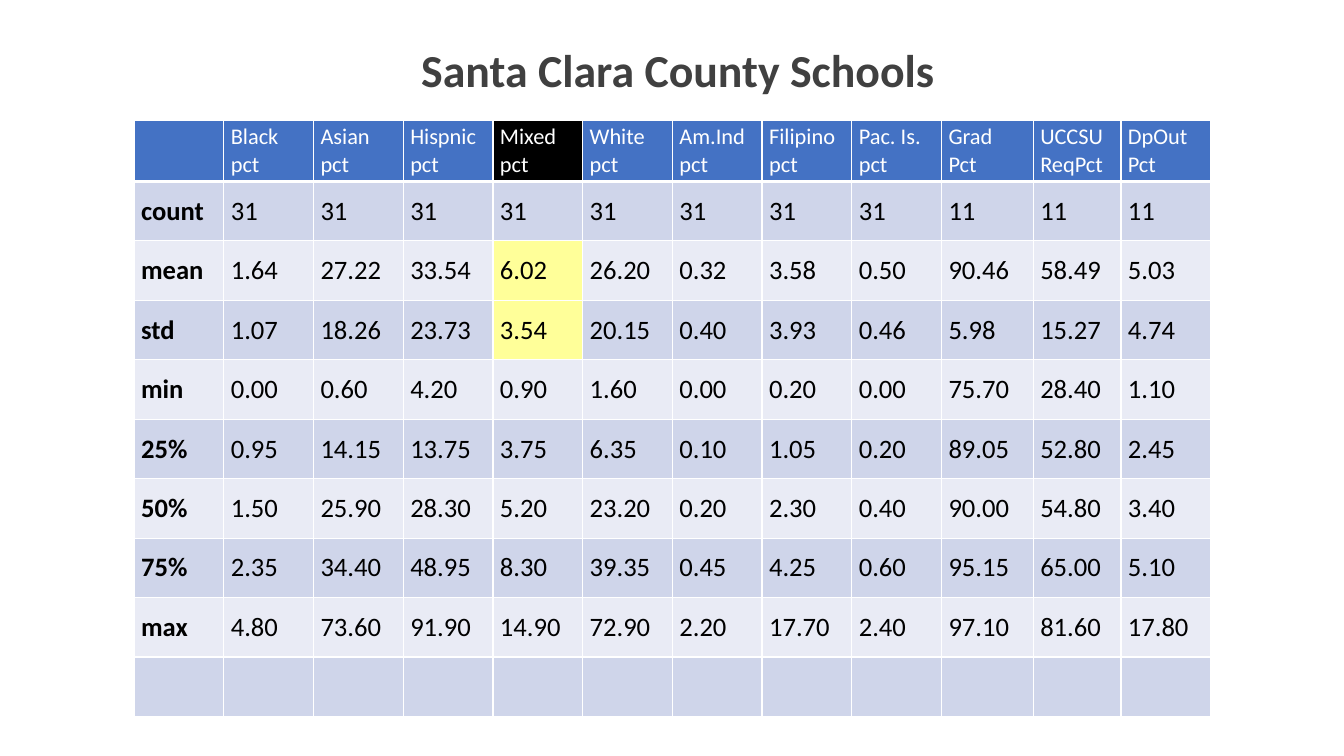
from lxml.etree import SubElement
from pptx import Presentation
from pptx.dml.color import RGBColor
from pptx.enum.text import MSO_ANCHOR, MSO_AUTO_SIZE
from pptx.oxml.ns import qn
from pptx.util import Inches, Pt

TITLE = "Santa Clara County Schools"
HEADERS = [
    "", "Black\npct", "Asian\npct", "Hispnic\npct", "Mixed\npct", "White\npct",
    "Am.Ind\npct", "Filipino\npct", "Pac. Is.\npct", "Grad\nPct",
    "UCCSU\nReqPct", "DpOut\nPct",
]
STATS = [
    "count 31 31 31 31 31 31 31 31 11 11 11",
    "mean 1.64 27.22 33.54 6.02 26.20 0.32 3.58 0.50 90.46 58.49 5.03",
    "std 1.07 18.26 23.73 3.54 20.15 0.40 3.93 0.46 5.98 15.27 4.74",
    "min 0.00 0.60 4.20 0.90 1.60 0.00 0.20 0.00 75.70 28.40 1.10",
    "25% 0.95 14.15 13.75 3.75 6.35 0.10 1.05 0.20 89.05 52.80 2.45",
    "50% 1.50 25.90 28.30 5.20 23.20 0.20 2.30 0.40 90.00 54.80 3.40",
    "75% 2.35 34.40 48.95 8.30 39.35 0.45 4.25 0.60 95.15 65.00 5.10",
    "max 4.80 73.60 91.90 14.90 72.90 2.20 17.70 2.40 97.10 81.60 17.80",
]
COLORS = {
    "title": "404040", "header": "4472C4", "odd": "CFD5EA", "even": "E9EBF5",
    "black": "000000", "mark": "FFFF99", "white": "FFFFFF",
}
MARKED = {(0, 4): "black", (2, 4): "mark", (3, 4): "mark"}
COL_WIDTHS = [0.89] * 9 + [0.91, 0.87, 0.89]
ROW_HEIGHTS = [0.61] + [0.59] * 9
CELL = {
    "margin_left": Inches(0.07), "margin_right": Inches(0.07),
    "margin_top": Inches(0.03), "margin_bottom": Inches(0.03),
    "vertical_anchor": MSO_ANCHOR.MIDDLE,
}


def set_font(font, size, color, bold):
    for name, value in {"name": "Calibri", "size": Pt(size), "bold": bold}.items():
        setattr(font, name, value)
    font.color.rgb = RGBColor.from_string(COLORS[color])


def set_borders(cell, bottom):
    """Draw white cell edges, 1 pt wide except for the bottom one."""
    tcPr = cell._tc.get_or_add_tcPr()
    for edge, width in (("L", 1), ("R", 1), ("T", 1), ("B", bottom)):
        ln = SubElement(tcPr, qn(f"a:ln{edge}"), w=str(Pt(width)))
        fill = SubElement(ln, qn("a:solidFill"))
        SubElement(fill, qn("a:srgbClr"), val=COLORS["white"])


def add_title(s):
    tf = s.shapes.add_textbox(Inches(4.08), Inches(0.36), Inches(5.3), Inches(0.65)).text_frame
    tf.word_wrap = False
    tf.auto_size = MSO_AUTO_SIZE.SHAPE_TO_FIT_TEXT
    r = tf.paragraphs[0].add_run()
    r.text = TITLE
    set_font(r.font, 32.7, "title", True)


def add_stats_table(s):
    rows = [HEADERS] + [line.split() for line in STATS] + [[""] * len(HEADERS)]
    table = s.shapes.add_table(
        len(rows), len(HEADERS), Inches(1.33), Inches(1.19),
        Inches(sum(COL_WIDTHS)), Inches(sum(ROW_HEIGHTS))).table
    for col, width in zip(table.columns, COL_WIDTHS):
        col.width = Inches(width)
    for i, (values, height) in enumerate(zip(rows, ROW_HEIGHTS)):
        table.rows[i].height = Inches(height)
        band = "header" if i == 0 else ("odd" if i % 2 else "even")
        size, color = (16, "white") if i == 0 else (19, "black")
        for j, value in enumerate(values):
            cell = table.cell(i, j)
            for name, setting in CELL.items():
                setattr(cell, name, setting)
            set_borders(cell, 3 if i == 0 else 1)
            cell.fill.solid()
            cell.fill.fore_color.rgb = RGBColor.from_string(COLORS[MARKED.get((i, j), band)])
            cell.text = value
            for p in cell.text_frame.paragraphs:
                for r in p.runs:
                    set_font(r.font, size, color, i > 0 and j == 0)


def main():
    prs = Presentation()
    prs.slide_width, prs.slide_height = Inches(13.33), Inches(7.5)
    s = prs.slides.add_slide(prs.slide_layouts[6])
    add_stats_table(s)
    add_title(s)
    prs.save("out.pptx")


if __name__ == "__main__":
    main()
